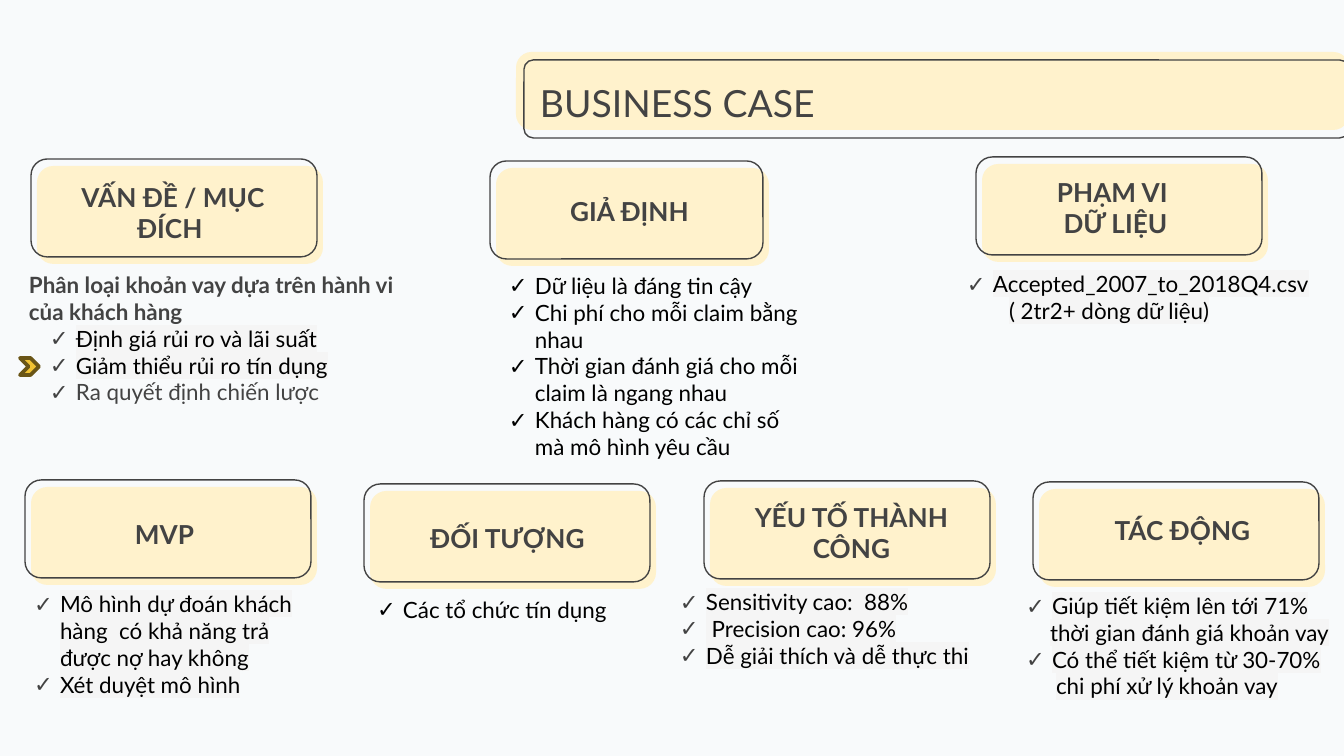
from lxml import etree
from pptx import Presentation
from pptx.dml.color import RGBColor
from pptx.enum.shapes import MSO_SHAPE
from pptx.enum.text import MSO_ANCHOR, PP_ALIGN
from pptx.oxml.ns import qn
from pptx.util import Emu, Pt

ROUNDED, CHEVRON = MSO_SHAPE.ROUNDED_RECTANGLE, MSO_SHAPE.CHEVRON
TOP, MIDDLE, BOTTOM = MSO_ANCHOR.TOP, MSO_ANCHOR.MIDDLE, MSO_ANCHOR.BOTTOM
LEFT, CENTER = PP_ALIGN.LEFT, PP_ALIGN.CENTER

CREAM, DARK, BLACK, PALE = "FFF2CC", "434343", "000000", "F5F5F5"
INSET = 13
HANGING = 26
CARD_HEIGHT = 98
CARD_ROUNDING = 0.167

TITLE_FORMAT = {"name": "Lato", "size": Pt(20), "bold": False}
LABEL_FORMAT = {"name": "Lato", "size": Pt(14), "bold": True}
BODY_FORMAT = {"name": "Lato", "size": Pt(12), "bold": False}
LEAD_FORMAT = {**BODY_FORMAT, "bold": True}


def px(value):
    return Emu(round(value * 914400 / 134.4))


def rgb(value):
    return RGBColor.from_string(value)


def add_block(slide, kind, box, fill=None, line=None, width=0.75, rounding=None):
    shape = slide.shapes.add_shape(kind, *map(px, box))
    shape.shadow.inherit = False
    if rounding is not None:
        shape.adjustments[0] = rounding
    if fill:
        shape.fill.solid()
        shape.fill.fore_color.rgb = rgb(fill)
    else:
        shape.fill.background()
    if line:
        shape.line.color.rgb = rgb(line)
        shape.line.width = Pt(width)
    else:
        shape.line.fill.background()


def add_text_frame(slide, box, anchor=TOP, vertical_inset=INSET):
    frame = slide.shapes.add_textbox(*map(px, box)).text_frame
    settings = {
        "word_wrap": True, "vertical_anchor": anchor,
        "margin_left": px(INSET), "margin_right": px(INSET),
        "margin_top": px(vertical_inset), "margin_bottom": px(vertical_inset),
    }
    for name, value in settings.items():
        setattr(frame, name, value)
    return frame


def write(paragraph, text, values, color, align=LEFT, highlight=None):
    paragraph.alignment = align
    paragraph.text = text
    for run in paragraph.runs:
        for name, value in values.items():
            setattr(run.font, name, value)
        run.font.color.rgb = rgb(color)
        if highlight:
            mark = etree.Element(qn("a:highlight"))
            etree.SubElement(mark, qn("a:srgbClr"), val=highlight)
            run.font.fill  # colour fill precedes the highlight
            run.font._element.find(qn("a:solidFill")).addnext(mark)


def set_indent(paragraph, margin, first_line=0):
    properties = paragraph._p.get_or_add_pPr()
    properties.set("marL", str(px(margin)))
    properties.set("indent", str(px(first_line)))
    return properties


def add_check(paragraph, margin, color):
    properties = set_indent(paragraph, margin, -HANGING)
    bullet_color = etree.SubElement(properties, qn("a:buClr"))
    etree.SubElement(bullet_color, qn("a:srgbClr"), val=color)
    etree.SubElement(properties, qn("a:buFont"), typeface="Lato")
    etree.SubElement(properties, qn("a:buChar"), char="✓")


def add_card(slide, left, top, width, label, label_box):
    add_block(slide, ROUNDED, (left + 6, top + 7, width, CARD_HEIGHT),
              fill=CREAM, rounding=CARD_ROUNDING)
    add_block(slide, ROUNDED, (left, top, width, CARD_HEIGHT),
              line=DARK, rounding=CARD_ROUNDING)
    frame = add_text_frame(slide, label_box, BOTTOM)
    write(frame.paragraphs[0], label, LABEL_FORMAT, DARK, CENTER)


def add_body(slide, box, lines, plain=False):
    """Each line is (kind, text); a number as kind is a plain line's indent."""
    frame = add_text_frame(slide, box, vertical_inset=6 if plain else INSET)
    for index, (kind, text) in enumerate(lines):
        paragraph = frame.add_paragraph() if index else frame.paragraphs[0]
        values, color, highlight = BODY_FORMAT, BLACK, None if plain else PALE
        if kind == "lead":
            values, color, highlight = LEAD_FORMAT, DARK, None
        elif kind == "quiet":
            color, highlight = DARK, None
        if kind in ("check", "quiet"):
            add_check(paragraph, HANGING if plain else 47, BLACK if plain else DARK)
        elif kind != "lead":
            set_indent(paragraph, kind)
        write(paragraph, text, values, color, highlight=highlight)


# Card: left, top, width, label, label box. Body: box, lines, plain style
SECTIONS = [
    ((31, 159, 286, "VẤN ĐỀ / MỤC ĐÍCH ", (59, 172, 228, 85)),
     ((16, 258, 421, 177), [
         ("lead", "Phân loại khoản vay dựa trên hành vi của khách hàng"),
         ("check", "Định giá rủi ro và lãi suất"),
         ("check", "Giảm thiểu rủi ro tín dụng"),
         ("quiet", "Ra quyết định chiến lược")])),
    ((490, 161, 273, "GIẢ ĐỊNH", (511, 175, 237, 65)),
     ((496, 266, 332, 203), [
         ("check", "Dữ liệu là đáng tin cậy"),
         ("check", "Chi phí cho mỗi claim bằng nhau"),
         ("check", "Thời gian đánh giá cho mỗi claim là ngang nhau"),
         ("check", "Khách hàng có các chỉ số mà mô hình yêu cầu")], True)),
    ((976, 157, 286, "PHẠM VI \vDỮ LIỆU", (992, 167, 247, 85)),
     ((933, 257, 403, 144), [
         ("check", "Accepted_2007_to_2018Q4.csv"),
         (63, "( 2tr2+ dòng dữ liệu)")])),
    ((25, 480, 286, "MVP", (44, 501, 241, 62)),
     ((0, 577, 324, 179), [
         ("check", "Mô hình dự đoán khách hàng  có khả năng trả được nợ hay không"),
         ("check", "Xét duyệt mô hình")])),
    ((364, 484, 286, "ĐỐI TƯỢNG", (384, 482, 247, 85)),
     ((364, 590, 339, 140), [("check", "Các tổ chức tín dụng")], True)),
    ((704, 481, 286, "YẾU TỐ THÀNH CÔNG", (719, 492, 265, 85)),
     ((646, 575, 372, 180), [
         ("check", "Sensitivity cao:  88%"),
         ("check", " Precision cao: 96%"),
         ("check", "Dễ giải thích và dễ thực thi")])),
    ((1033, 482, 286, "TÁC ĐỘNG", (1050, 474, 265, 85)),
     ((992, 579, 388, 177), [
         ("check", "Giúp tiết kiệm lên tới 71%"),
         (45, "thời gian đánh giá khoản vay"),
         ("check", "Có thể tiết kiệm từ 30-70%"),
         (51, "chi phí xử lý khoản vay")])),
]


def main():
    presentation = Presentation()
    presentation.slide_width, presentation.slide_height = px(1344), px(756)
    slide = presentation.slides.add_slide(presentation.slide_layouts[6])
    slide.background.fill.solid()
    slide.background.fill.fore_color.rgb = rgb("F8FAFB")

    # Title banner
    add_block(slide, ROUNDED, (516, 52, 833, 78), fill=CREAM, rounding=0.2)
    add_block(slide, ROUNDED, (524, 60, 825, 78), line=DARK, rounding=0.12)
    title = add_text_frame(slide, (527, 67, 469, 71), MIDDLE)
    write(title.paragraphs[0], "BUSINESS CASE", TITLE_FORMAT, DARK)

    # Cards with their details
    for card, body in SECTIONS:
        add_card(slide, *card)
        add_body(slide, *body)

    # Marker beside the key goal
    add_block(slide, CHEVRON, (20, 358, 19, 17), fill="F1C232", line="6A5516", width=2)

    presentation.save("out.pptx")


if __name__ == "__main__":
    main()
